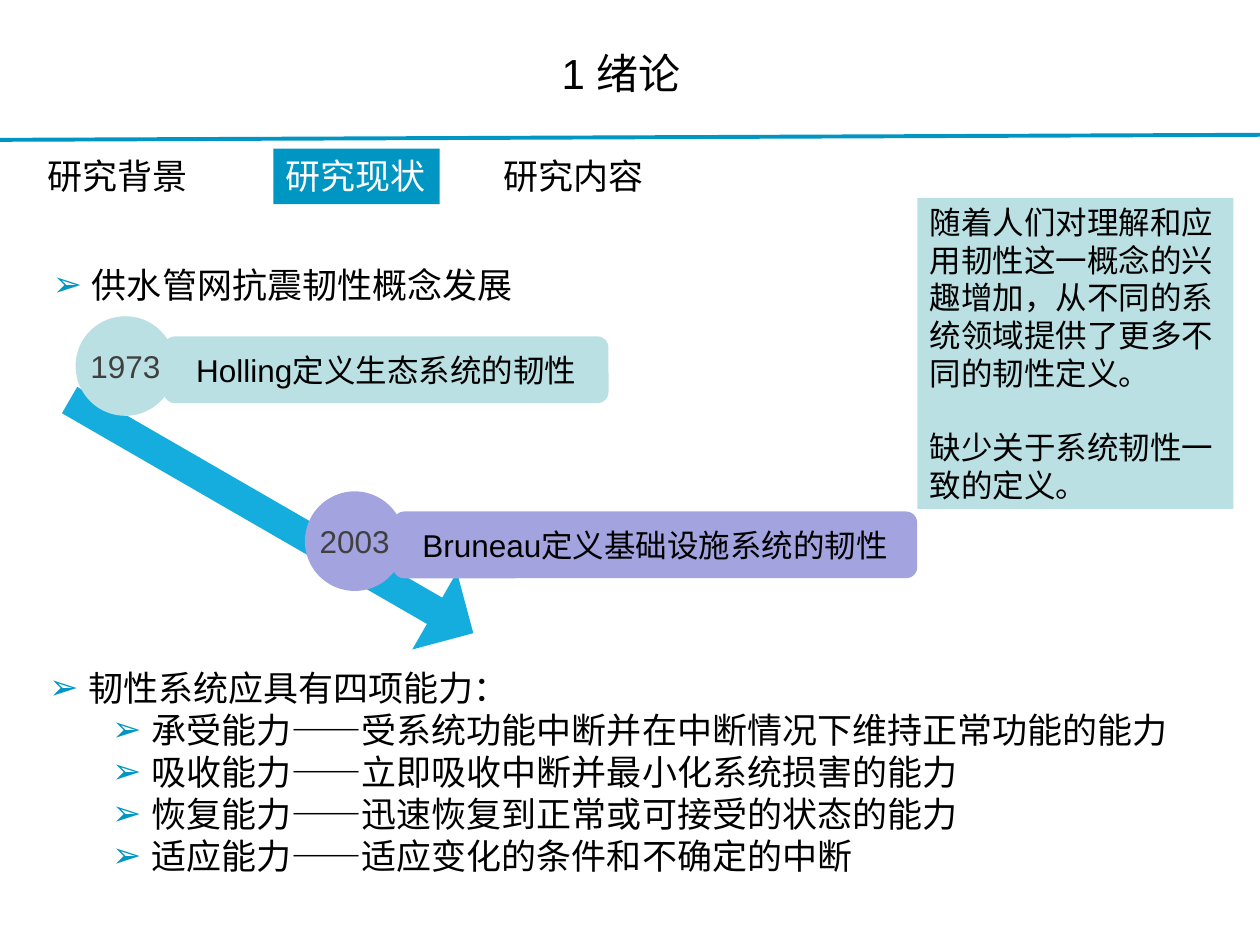
"""Build the introduction slide on the resilience concept and its four abilities."""
from lxml.etree import SubElement
from pptx import Presentation
from pptx.dml.color import RGBColor
from pptx.enum.shapes import MSO_CONNECTOR, MSO_SHAPE
from pptx.enum.text import MSO_ANCHOR, MSO_AUTO_SIZE, PP_ALIGN
from pptx.oxml.ns import qn
from pptx.util import Inches, Pt

HUES = {
    "blue": "0096C3", "arrow": "14ADDE", "teal": "BBE0E3", "lilac": "A3A3E0",
    "black": "000000", "grey": "404040", "white": "FFFCFE",
}
HUE = {name: RGBColor.from_string(code) for name, code in HUES.items()}

deck = Presentation()
deck.slide_width, deck.slide_height = Inches(10), Inches(7.5)
col, row = deck.slide_width / 100, deck.slide_height / 75
slide = deck.slides.add_slide(deck.slide_layouts[3])
shapes = slide.shapes
title, *lists = slide.placeholders


def add(kind, x, y, w, h, fill):
    shape = shapes.add_shape(kind, int(x * col), int(y * row), int(w * col), int(h * row))
    shape.shadow.inherit = False
    shape.fill.solid()
    shape.fill.fore_color.rgb = HUE[fill]
    shape.line.fill.background()
    shape.text_frame.word_wrap = True
    return shape


def write(para, text, size, hue="black", align=PP_ALIGN.LEFT):
    para.text = text
    para.alignment = align
    para.font.size = Pt(size)
    para.font.name = "Arial"
    para.font.color.rgb = HUE[hue]


title.left, title.top = 0, int(1.7 * row)
title.width, title.height = int(98.6 * col), int(8.1 * row)
title.text_frame.vertical_anchor = MSO_ANCHOR.MIDDLE
write(title.text_frame.paragraphs[0], "1 绪论", 24, align=PP_ALIGN.CENTER)

rule = shapes.add_connector(
    MSO_CONNECTOR.STRAIGHT, 0, int(11.1 * row), deck.slide_width, int(10.7 * row))
rule.line.color.rgb = HUE["blue"]
rule.line.width = Pt(2.25)
SubElement(rule.element.spPr, qn("a:effectLst"))

tabs = [("研究背景", 2.8, False), ("研究现状", 21.7, True), ("研究内容", 39, False)]
for text, x, live in tabs:
    tab = shapes.add_textbox(int(x * col), int(11.8 * row), int(13.2 * col), int(4.4 * row))
    tab.text_frame.word_wrap = False
    write(tab.text_frame.paragraphs[0], text, 20, "white" if live else "black")
    if live:
        tab.fill.solid()
        tab.fill.fore_color.rgb = HUE["blue"]

topics = [
    ((3.2, 20.4, 41.3, 4.4), ["供水管网抗震韧性概念发展"]),
    ((2.9, 52.4, 91.3, 17.8), [
        "韧性系统应具有四项能力：",
        "承受能力——受系统功能中断并在中断情况下维持正常功能的能力",
        "吸收能力——立即吸收中断并最小化系统损害的能力",
        "恢复能力——迅速恢复到正常或可接受的状态的能力",
        "适应能力——适应变化的条件和不确定的中断",
    ]),
]
for body, ((x, y, w, h), lines) in zip(lists, topics):
    body.left, body.top = int(x * col), int(y * row)
    body.width, body.height = int(w * col), int(h * row)
    frame = body.text_frame
    frame.auto_size = MSO_AUTO_SIZE.NONE
    for rank, text in enumerate(lines):
        para = frame.paragraphs[0] if rank == 0 else frame.add_paragraph()
        para.level = min(rank, 1)
        para.space_before = Pt(0)
        props = para._p.get_or_add_pPr()
        props.set("marL", str(Inches(0.31 + 0.5 * para.level)))
        props.set("indent", str(Inches(-0.31)))
        tint = SubElement(props, qn("a:buClr"))
        SubElement(tint, qn("a:srgbClr"), val=HUES["blue"])
        SubElement(props, qn("a:buFont"), typeface="Arial")
        SubElement(props, qn("a:buChar"), char="➢")
        write(para, text, 20)

arrow = add(MSO_SHAPE.DOWN_ARROW, 18, 22.5, 7.1, 37, "arrow")
arrow.adjustments[0], arrow.adjustments[1] = 0.34, 0.5
arrow.rotation = 300

events = [
    ("1973", "Holling定义生态系统的韧性", 6, 25.1, 35.3, "teal"),
    ("2003", "Bruneau定义基础设施系统的韧性", 24.2, 39, 41.6, "lilac"),
]
for year, text, x, y, w, hue in events:
    disc = add(MSO_SHAPE.OVAL, x, y, 7.9, 7.9, hue)
    frame = disc.text_frame
    frame.margin_left = frame.margin_right = frame.margin_top = frame.margin_bottom = 0
    write(frame.paragraphs[0], year, 18, "grey", PP_ALIGN.CENTER)
    bar = add(MSO_SHAPE.ROUNDED_RECTANGLE, x + 7, y + 1.6, w, 5.3, hue)
    write(bar.text_frame.paragraphs[0], text, 18, align=PP_ALIGN.CENTER)

note = add(MSO_SHAPE.RECTANGLE, 72.8, 15.7, 25.1, 24.7, "teal").text_frame
write(note.paragraphs[0],
      "随着人们对理解和应用韧性这一概念的兴趣增加，从不同的系统领域提供了更多不同的韧性定义。", 18)
last = note.add_paragraph()
last.space_before = Pt(21)
write(last, "缺少关于系统韧性一致的定义。", 18)

deck.save("out.pptx")
